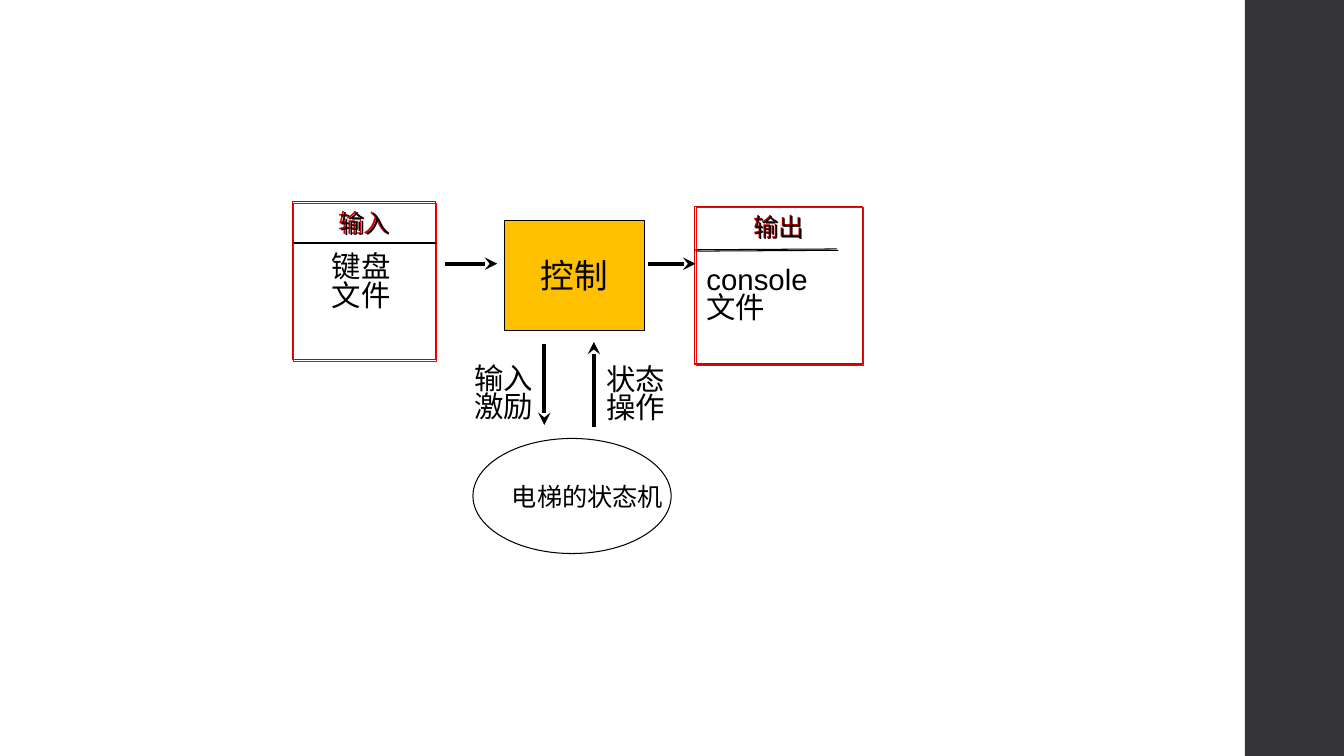
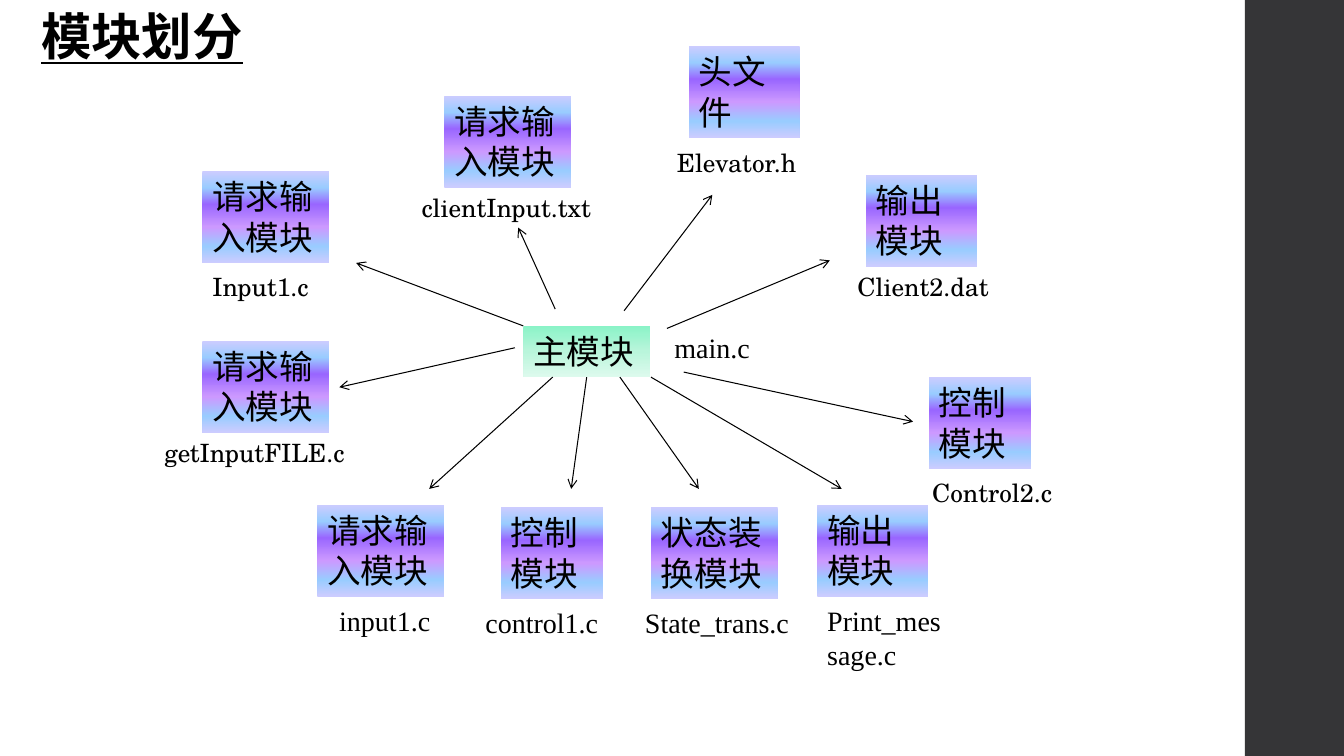
from typing import NamedTuple

from lxml.etree import SubElement
from pptx import Presentation
from pptx.dml.color import RGBColor
from pptx.enum.shapes import MSO_CONNECTOR, MSO_SHAPE
from pptx.enum.text import MSO_ANCHOR, MSO_AUTO_SIZE, PP_ALIGN
from pptx.oxml.ns import qn
from pptx.util import Inches, Pt

COLUMNS, ROWS = 160, 90
CELL = Inches(1) / 12

SANS, SCHOOL, TIMES = "Arial", "TeX Gyre Schola", "Times New Roman"
BLACK, WHITE, RED, DARK_RED = "000000", "FFFFFF", "FF0000", "CC0000"
AMBER, BAND = "FFC000", "353537"
GREEN = [(0, "8AF3C7"), (50, "B9F5DB"), (100, "DDFAED")]
LILAC = [(0, "CCCCFF"), (18, "99CCFF"), (36, "9966FF"),
         (61, "CC99FF"), (82, "99CCFF"), (100, "CCCCFF")]
MODULE_HEIGHT = 10.9


class Module(NamedTuple):
    name: str
    box: tuple
    file: str
    label: tuple
    start: tuple
    end: tuple
    font: str = SCHOOL
    size: int = 18


MODULES = [
    Module("请求输入模块", (37.8, 60.1, 15.1), "input1.c", (39.2, 71.3, 13.7, 5.3),
           (65.8, 44.9), (51.1, 58.2), TIMES, 20),
    Module("控制模块", (59.6, 60.4, 12.2), "control1.c", (56.6, 71.5, 17.2, 5.3),
           (69.8, 44.9), (68, 58.2), TIMES, 20),
    Module("状态装换模块", (77.5, 60.4, 15.1), "State_trans.c", (75.6, 71.5, 19.8, 5.3),
           (73.8, 44.9), (83.2, 58.2), TIMES, 20),
    Module("输出模块", (97.3, 60.1, 13.2), "Print_message.c", (97.3, 71.3, 17, 9.2),
           (77.5, 44.9), (100.2, 58.2), TIMES, 20),
    Module("控制模块", (110.6, 44.9, 12.2), "Control2.c", (109.8, 56.2, 17.9, 4.8),
           (81.4, 44.3), (108.7, 50.2)),
    Module("请求输入模块", (24.1, 40.6, 15.1), "getInputFILE.c", (18.4, 51.5, 26.2, 4.8),
           (61.3, 41.4), (40.4, 46.1)),
    Module("请求输入模块", (24.1, 20.4, 15.1), "Input1.c", (24.1, 31.7, 19, 4.8),
           (62.3, 38.8), (42.4, 31.3)),
    Module("请求输入模块", (52.9, 11.4, 15.1), "clientInput.txt", (49, 22.3, 25.6, 4.8),
           (66.1, 36.8), (61.7, 27.1)),
    Module("输出模块", (103.1, 20.8, 13.2), "Client2.dat", (100.9, 31.7, 19.3, 4.8),
           (79.4, 39.1), (98.8, 31)),
    Module("头文件", (82, 5.5, 13.2), "Elevator.h", (79.4, 17, 20.5, 4.8),
           (74.3, 37), (84.8, 23.2)),
]


def color(value):
    return RGBColor.from_string(value)


def grid(lengths):
    return [round(length * CELL) for length in lengths]


def set_shadow(shape, shadow):
    properties = shape.element.spPr
    for effects in properties.findall(qn("a:effectLst")):
        properties.remove(effects)
    effects = SubElement(properties, qn("a:effectLst"))
    if shadow:
        outer = SubElement(effects, qn("a:outerShdw"), dist=str(Pt(1.4)),
                           dir=str(225 * 60000), algn="ctr", rotWithShape="0")
        SubElement(outer, qn("a:srgbClr"), val=shadow)


def set_gradient(shape, stops):
    shape.fill.gradient()
    shape.fill.gradient_angle = 270
    stop_list = shape.element.spPr.find(qn("a:gradFill")).find(qn("a:gsLst"))
    for stop in list(stop_list):
        stop_list.remove(stop)
    for position, value in stops:
        stop = SubElement(stop_list, qn("a:gs"), pos=str(position * 1000))
        SubElement(stop, qn("a:srgbClr"), val=value)


class Deck:
    def __init__(self):
        self.presentation = Presentation()
        self.presentation.slide_width, self.presentation.slide_height = grid((COLUMNS, ROWS))
        self.slide = None

    def add_slide(self, title=None):
        layout = self.presentation.slide_layouts[6 if title is None else 5]
        self.slide = self.presentation.slides.add_slide(layout)
        if title is not None:
            shape = self.slide.shapes.title
            shape.left, shape.top, shape.width, shape.height = grid((3.7, 0, 26.8, 8.5))
            self.set_text(shape, [title], SCHOOL, 36, wrap=False)
            font = shape.text_frame.paragraphs[0].font
            font.bold = font.underline = True

    def add_band(self):
        band = self.shape((148.2, 0, 11.8, ROWS), fill=BAND)
        band.element.nvSpPr.cNvPr.set("id", "99")
        self.presentation.slide_master.element.cSld.spTree.insert(2, band.element)

    def set_text(self, shape, lines, font, size, align=PP_ALIGN.LEFT, anchor=MSO_ANCHOR.TOP,
                 insets=(0.1, 0.05), spacing=None, wrap=True, grow=False):
        frame = shape.text_frame
        frame.auto_size = MSO_AUTO_SIZE.SHAPE_TO_FIT_TEXT if grow else MSO_AUTO_SIZE.NONE
        frame.word_wrap = wrap
        frame.vertical_anchor = anchor
        frame.margin_left = frame.margin_right = Inches(insets[0])
        frame.margin_top = frame.margin_bottom = Inches(insets[1])
        frame.text = "\n".join(lines)
        for paragraph in frame.paragraphs:
            paragraph.alignment = align
            paragraph.line_spacing = spacing
            paragraph.font.name = font
            paragraph.font.size = Pt(size)
            paragraph.font.color.rgb = color(BLACK)

    def shape(self, place, kind=MSO_SHAPE.RECTANGLE, fill=None, line=None, shadow=None):
        shape = self.slide.shapes.add_shape(kind, *grid(place))
        shape.shadow.inherit = False
        if isinstance(fill, list):
            set_gradient(shape, fill)
        elif fill:
            shape.fill.solid()
            shape.fill.fore_color.rgb = color(fill)
        else:
            shape.fill.background()
        if line:
            shape.line.color.rgb = color(line)
            shape.line.width = Pt(0.75)
        else:
            shape.line.fill.background()
        if shadow:
            set_shadow(shape, shadow)
        return shape

    def text(self, place, lines, font, size, **style):
        box = self.slide.shapes.add_textbox(*grid(place))
        self.set_text(box, lines, font, size, grow=True, **style)

    def note(self, place, *lines):
        self.text(place, lines, SANS, 21, insets=(0, 0), spacing=0.8)

    def module(self, place, name, gradient):
        shape = self.shape(place, fill=gradient)
        self.set_text(shape, [name], TIMES, 24, grow=True)
        return shape

    def panel(self, place, heading, rule_start, rule_end):
        panel = self.shape(place, line=RED, shadow=DARK_RED)
        self.set_text(panel, [heading], SCHOOL, 18, PP_ALIGN.CENTER, wrap=False)
        self.line(rule_start, rule_end, shadow=BLACK)

    def line(self, start, end, width=0.75, head=None, shadow=None):
        line = self.slide.shapes.add_connector(MSO_CONNECTOR.STRAIGHT, *grid(start + end))
        line.line.color.rgb = color(BLACK)
        line.line.width = Pt(width)
        if head:
            SubElement(line.element.spPr.find(qn("a:ln")), qn("a:tailEnd"), type=head)
        set_shadow(line, shadow)
        return line


def build_control_flow(deck):
    deck.add_slide()
    deck.add_band()
    control = deck.shape((60.1, 26.2, 16.6, 13.1), fill=AMBER, line=BLACK)
    deck.set_text(control, ["控制"], SANS, 24, PP_ALIGN.CENTER, MSO_ANCHOR.MIDDLE,
                  insets=(0.13, 0.07), wrap=False)
    deck.panel((35, 24.2, 17, 18.8), "输入", (35, 29), (52, 29))
    deck.panel((82.9, 24.7, 19.9, 18.8), "输出", (82.8, 29.9), (99.8, 29.8))
    for start, end in [((53, 31.4), (59.2, 31.4)), ((77.2, 31.4), (82.8, 31.4)),
                       ((64.8, 41), (64.8, 50.6)), ((70.7, 50.8), (70.7, 40.7))]:
        deck.line(start, end, 3, "stealth")
    deck.note((39.5, 30.4, 8, 10.2), "键盘", "文件")
    deck.note((84.1, 31.9, 19.7, 10.2), "console", "文件")
    deck.note((56.5, 43.7, 8, 6.8), "输入", "激励")
    deck.note((72.2, 43.8, 8, 6.8), "状态操作")
    machine = deck.shape((56.3, 52.2, 23.6, 13.7), MSO_SHAPE.OVAL, WHITE, BLACK)
    deck.set_text(machine, ["电梯的状态机"], SCHOOL, 18, anchor=MSO_ANCHOR.MIDDLE, wrap=False)


def build_modules(deck):
    deck.add_slide("模块划分")
    main_module = deck.module((62.3, 38.8, 15.1, 6.1), "主模块", GREEN)
    deck.text((79.1, 38.8, 12.2, 5.3), ["main.c"], TIMES, 20)
    for module in MODULES:
        deck.module(module.box + (MODULE_HEIGHT,), module.name, LILAC)
        deck.text(module.label, [module.file], module.font, module.size)
        arrow = deck.line(module.start, module.end, head="arrow")
        if module.file == "control1.c":
            arrow.begin_connect(main_module, 2)


def main():
    deck = Deck()
    build_control_flow(deck)
    build_modules(deck)
    deck.presentation.save("out.pptx")


if __name__ == "__main__":
    main()
